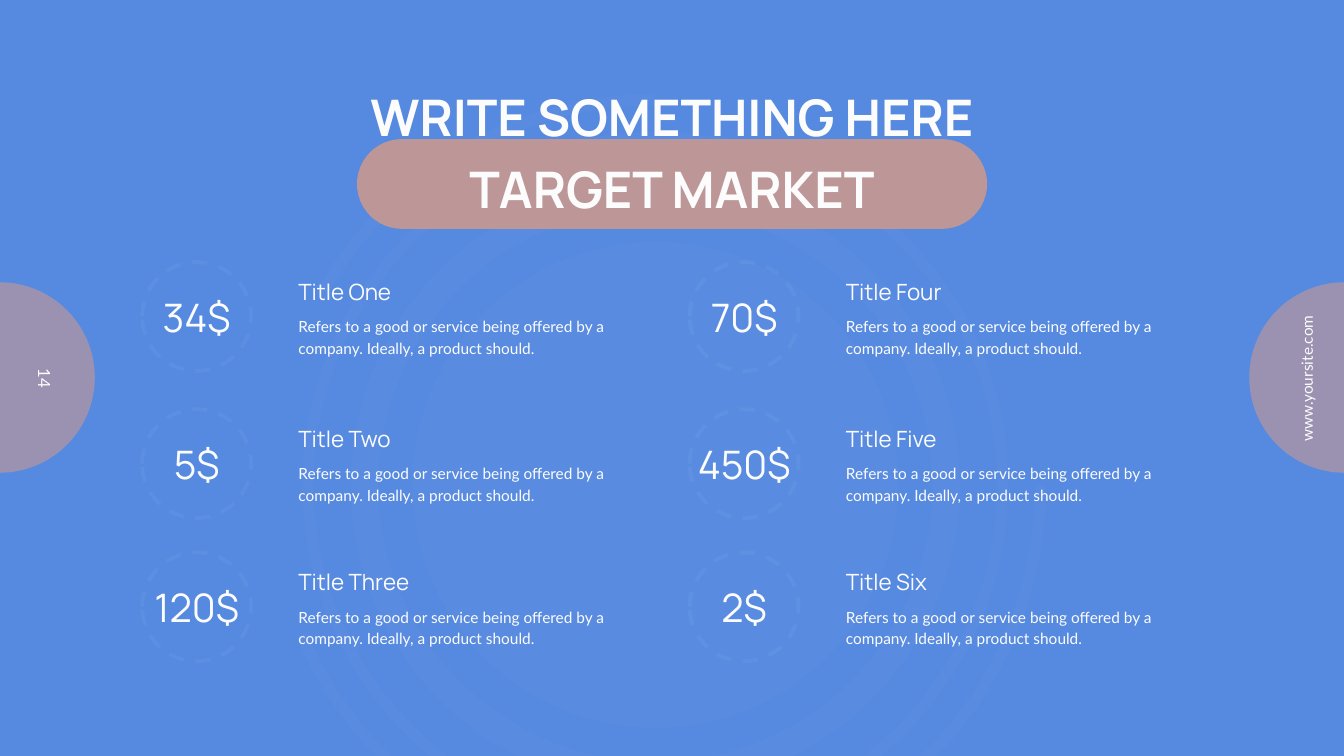
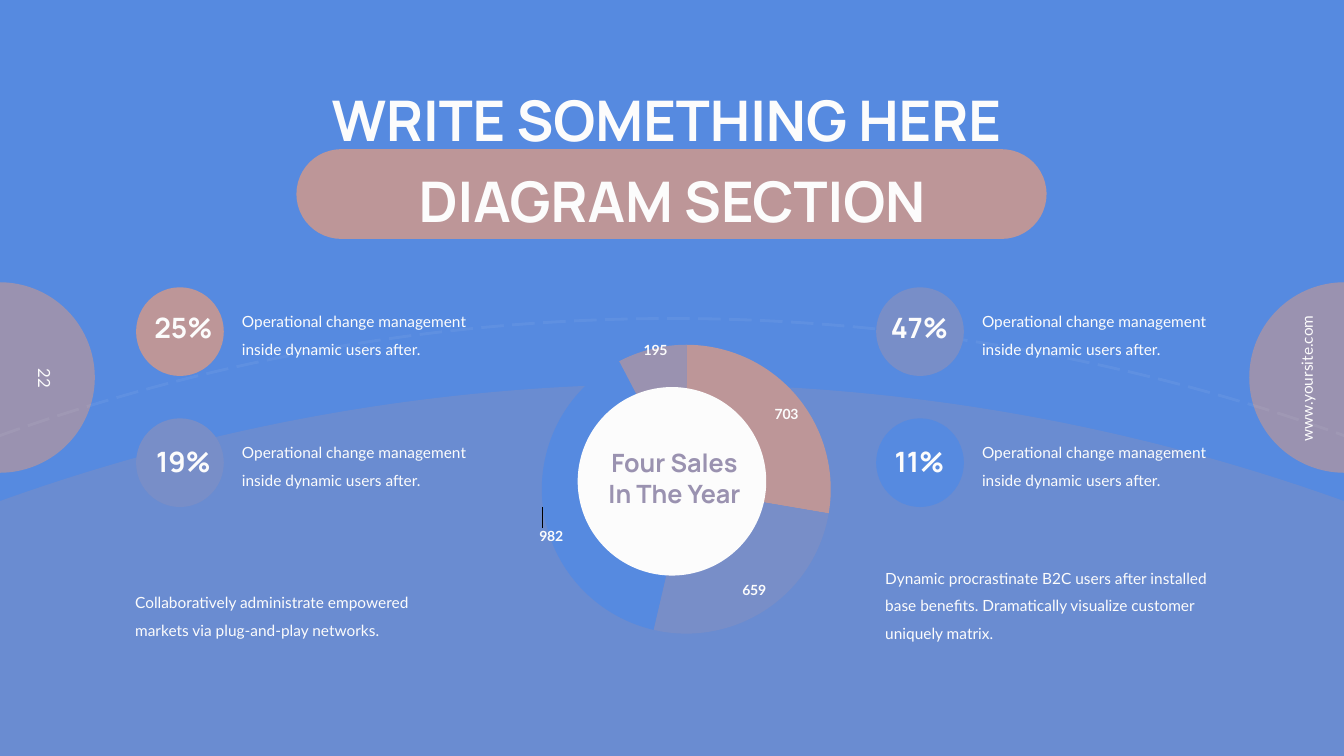
from lxml import etree
from pptx import Presentation
from pptx.chart.data import CategoryChartData
from pptx.dml.color import RGBColor
from pptx.enum.chart import XL_CHART_TYPE, XL_LABEL_POSITION
from pptx.enum.dml import MSO_LINE
from pptx.enum.shapes import MSO_SHAPE
from pptx.enum.text import MSO_ANCHOR, PP_ALIGN
from pptx.oxml.ns import qn
from pptx.util import Inches, Pt

BLUE, ROSE, MAUVE, STEEL, WHITE = "568AE0", "BD9698", "9A92B0", "788EC8", "FCFCFC"
HEADING, BODY = "Manrope", "Lato"
WIDTH, HEIGHT = 13.33, 7.5

TITLE = {"name": HEADING, "size": 36, "bold": True}
SUBTITLE = {"name": HEADING, "size": 16}
PRICE = {"name": HEADING, "size": 28}
PERCENT = {"name": HEADING, "size": 20, "bold": True}
CENTER_NOTE = {"name": HEADING, "size": 18, "bold": True, "color": MAUVE}
SMALL = {"name": BODY, "size": 11}
NUMBER = {"name": BODY, "size": 12}
CHART_LABEL = {"name": BODY, "size": 10, "bold": True}

OFFER = "Refers to a good or service being offered by a company. Ideally, a product should."
CHANGE = "Operational change management inside dynamic users after."


def color(value):
    return RGBColor.from_string(value)


def set_font(font, style):
    for key, value in {"color": WHITE, **style}.items():
        if key == "color":
            font.color.rgb = color(value)
        else:
            setattr(font, key, Pt(value) if key == "size" else value)


def paint(shape, fill=None, line=None, weight=1, dash=None, alpha=None):
    shape.shadow.inherit = False
    if fill:
        shape.fill.solid()
        shape.fill.fore_color.rgb = color(fill)
    else:
        shape.fill.background()
    if line:
        shape.line.color.rgb = color(line)
        shape.line.width = Pt(weight)
        if dash:
            shape.line.dash_style = dash
    else:
        shape.line.fill.background()
    if alpha:
        for tint in shape.element.spPr.iter(qn("a:srgbClr")):
            etree.SubElement(tint, qn("a:alpha"), val=str(alpha * 1000))


def add_shape(page, kind, box, adjust=(), **look):
    shape = page.shapes.add_shape(kind, *map(Inches, box))
    for index, value in enumerate(adjust):
        shape.adjustments[index] = value
    paint(shape, **look)


def add_curve(page, points, corners=(), **look):
    """Start point and Bezier triples; corners, if any, close the outline."""
    start, *rest = [(Inches(x), Inches(y)) for x, y in (*points, *corners)]
    builder = page.shapes.build_freeform(*start)
    builder.add_line_segments(rest, close=bool(corners))
    shape = builder.convert_to_shape()
    lines = list(shape.element.spPr.iter(qn("a:lnTo")))[:len(points) - 1]
    for index in range(0, len(lines), 3):
        bezier = etree.Element(qn("a:cubicBezTo"))
        lines[index].addprevious(bezier)
        for line in lines[index:index + 3]:
            bezier.append(line[0])
            line.getparent().remove(line)
    paint(shape, **look)


def add_text(page, box, lines, style, align=PP_ALIGN.LEFT, spacing=None,
             anchor=MSO_ANCHOR.TOP, inset=0, wrap=True, rotation=0):
    shape = page.shapes.add_textbox(*map(Inches, box))
    shape.rotation = rotation
    frame = shape.text_frame
    frame.word_wrap = wrap
    frame.vertical_anchor = anchor
    for side in ("left", "right", "top", "bottom"):
        setattr(frame, f"margin_{side}", Inches(inset))
    for index, line in enumerate(lines):
        para = frame.paragraphs[0] if index == 0 else frame.add_paragraph()
        para.alignment = align
        if spacing:
            para.line_spacing = spacing
        para.text = line
        for span in para.runs:
            set_font(span.font, style)


# Shared page parts
def new_page(deck, number):
    page = deck.slides.add_slide(deck.slide_layouts[6])
    page.background.fill.solid()
    page.background.fill.fore_color.rgb = color(BLUE)
    for left in (-0.95, 12.39):
        add_shape(page, MSO_SHAPE.OVAL, (left, 2.8, 1.89, 1.89), fill=MAUVE)
    add_text(page, (-0.03, 3.31, 0.95, 0.89), [number], NUMBER, PP_ALIGN.CENTER,
             anchor=MSO_ANCHOR.MIDDLE, inset=0.05, rotation=90)
    add_text(page, (12.23, 3.61, 1.47, 0.29), ["www.yoursite.com"], SMALL,
             PP_ALIGN.CENTER, inset=0.05, wrap=False, rotation=270)
    return page


def add_title(page, lines, top, size, pill):
    add_shape(page, MSO_SHAPE.ROUNDED_RECTANGLE, pill, [0.5], fill=ROSE)
    add_text(page, (1.35, top, 10.63, 1.51), lines, {**TITLE, "size": size},
             PP_ALIGN.CENTER, spacing=1.2)


# Target market
def add_coin(page, center_x, center_y):
    def around(radius):
        return center_x - radius, center_y - radius, 2 * radius, 2 * radius

    add_shape(page, MSO_SHAPE.OVAL, around(2.41), fill=WHITE, alpha=2)
    for radius, thickness in ((3.02, 0.27), (3.5, 0.11)):
        add_shape(page, MSO_SHAPE.DONUT, around(radius), [thickness / radius / 2],
                  fill=WHITE, alpha=2)
    # Outer arcs, measured from the centre
    arcs = (
        [(-3.32, -1.88), (-2.97, -2.51), (-2.46, -3.01), (-1.82, -3.36),
         (-1.27, -3.66), (-0.63, -3.82), (0, -3.82)],
        [(-2.4, 2.96), (-2.89, 2.56), (-3.27, 2.06), (-3.5, 1.49)],
        [(3.82, 0), (3.82, 0.46), (3.74, 0.91), (3.58, 1.34), (3.33, 2.01),
         (2.9, 2.59), (2.32, 3.03), (1.65, 3.54), (0.85, 3.81), (0, 3.81)],
    )
    for arc in arcs:
        add_curve(page, [(center_x + x, center_y + y) for x, y in arc],
                  line=WHITE, weight=8, alpha=2)


def add_offer(page, left, top, price, name):
    add_text(page, (left + 1.55, top + 0.16, 1.82, 0.27), [name], SUBTITLE)
    add_text(page, (left + 1.55, top + 0.52, 3.49, 0.4), [OFFER], SMALL, spacing=Pt(15.3))
    add_text(page, (left - 0.07, top + 0.31, 1.22, 0.47), [price], PRICE,
             PP_ALIGN.CENTER, wrap=False)
    add_shape(page, MSO_SHAPE.OVAL, (left, top, 1.08, 1.08), line=WHITE,
              weight=2.75, dash=MSO_LINE.DASH, alpha=4)


def market_page(deck):
    page = new_page(deck, "14")
    add_coin(page, 6.5, 4.81)
    add_title(page, ["WRITE SOMETHING HERE", "TARGET MARKET"], 0.73, 36,
              (3.54, 1.38, 6.25, 0.89))
    columns = {
        1.41: [("34$", "Title One"), ("5$", "Title Two"), ("120$", "Title Three")],
        6.84: [("70$", "Title Four"), ("450$", "Title Five"), ("2$", "Title Six")],
    }
    for left, offers in columns.items():
        for top, (price, name) in zip((2.6, 4.06, 5.48), offers):
            add_offer(page, left, top, price, name)


# Diagram section
def hill(top):
    half = [(0, 0), (2.96, 0), (5.79, 0.66), (8.36, 1.86), (8.64, 2), (8.93, 2.14), (9.21, 2.28)]
    middle = WIDTH / 2
    left_side = [(middle - x, top + y) for x, y in reversed(half)]
    return left_side + [(middle + x, top + y) for x, y in half[1:]]


def add_hills(page):
    add_curve(page, hill(3.16), line=WHITE, weight=2, dash=MSO_LINE.LONG_DASH, alpha=5)
    slope = hill(3.81)
    floor = [(slope[-1][0], 7.63), (slope[0][0], 7.63)]
    add_curve(page, slope, floor, fill=MAUVE, alpha=30)


def set_layout(layout, values):
    manual = etree.SubElement(layout, qn("c:manualLayout"))
    for tag, value in values.items():
        etree.SubElement(manual, qn("c:" + tag), val=str(value))


def add_sales_chart(page, left, top, size):
    data = CategoryChartData(number_format="#,##0")
    data.categories = ["1", "2", "3", "4"]
    data.add_series("Series 1", (703, 659, 982, 195))
    chart = page.shapes.add_chart(XL_CHART_TYPE.PIE, *map(Inches, (left, top, size, size)),
                                  data).chart
    chart.has_legend = chart.has_title = False
    set_font(chart.font, {"name": BODY, "size": 10, "color": BLUE})
    plot = chart.plots[0]
    plot.vary_by_categories = False
    series = plot.series[0]
    for key, value in {"show_value": True, "number_format": "#,##0",
                       "number_format_is_linked": False,
                       "position": XL_LABEL_POSITION.INSIDE_END}.items():
        setattr(series.data_labels, key, value)
    set_font(series.data_labels.font, CHART_LABEL)

    # Slices, each with the shift of its label
    slices = ((ROSE, 0.02, 0.02), (STEEL, 0.01, -0.02), (BLUE, -0.03, 0.12), (MAUVE, -0.03, -0.04))
    for index, (fill, shift_x, shift_y) in enumerate(slices):
        point = series.points[index]
        point.format.fill.solid()
        point.format.fill.fore_color.rgb = color(fill)
        point.format.line.fill.background()
        point.data_label.position = XL_LABEL_POSITION.INSIDE_END
        set_font(point.data_label.font, CHART_LABEL)
        label = chart.element.findall(".//" + qn("c:dLbl"))[index]
        layout = etree.Element(qn("c:layout"))
        label.insert(1, layout)
        set_layout(layout, {"x": shift_x, "y": shift_y})

    # Fixed plot area
    area = chart.element.find(".//" + qn("c:plotArea"))
    layout = area.find(qn("c:layout"))
    if layout is None:
        layout = etree.Element(qn("c:layout"))
        area.insert(0, layout)
    set_layout(layout, {"layoutTarget": "inner", "xMode": "edge", "yMode": "edge",
                        "x": 0.09, "y": 0.06, "w": 0.91, "h": 0.93})

    # Centre disc
    add_shape(page, MSO_SHAPE.OVAL, (left + 0.64, top + 0.64, 1.87, 1.87), fill=WHITE)
    add_text(page, (left + 0.58, top + 1.24, 2.04, 0.61), ["Four Sales", "In The Year"],
             CENTER_NOTE, PP_ALIGN.CENTER)


def add_share(page, left, top, percent, fill, shift_x, shift_y):
    add_shape(page, MSO_SHAPE.OVAL, (left, top, 0.87, 0.88), fill=fill)
    add_text(page, (left + shift_x, top + shift_y, 0.88, 0.34), [percent], PERCENT,
             PP_ALIGN.CENTER)
    add_text(page, (left + 1.05, top + 0.17, 2.24, 0.52), [CHANGE], SMALL, spacing=1.5,
             anchor=MSO_ANCHOR.MIDDLE)


def diagram_page(deck):
    page = new_page(deck, "22")
    add_hills(page)
    add_title(page, ["WRITE SOMETHING HERE \vDIAGRAM SECTION"], 0.72, 40,
              (2.94, 1.48, 7.44, 0.89))
    add_sales_chart(page, 5.09, 3.2, 3.15)
    shares = {1.35: (("25%", ROSE), ("19%", STEEL), 0.03),
              8.69: (("47%", STEEL), ("11%", BLUE), -0.01)}
    for left, (upper, lower, shift) in shares.items():
        add_share(page, left, 2.85, *upper, shift, 0.23)
        add_share(page, left, 4.15, *lower, shift, 0.26)
    add_text(page, (1.34, 5.79, 3.21, 0.52), [
        "Collaboratively administrate empowered markets via plug-and-play networks."],
        SMALL, spacing=1.5)
    add_text(page, (8.78, 5.55, 3.21, 0.8), [
        "Dynamic procrastinate B2C users after installed base benefits. "
        "Dramatically visualize customer uniquely matrix."], SMALL, spacing=1.5)


def main():
    deck = Presentation()
    deck.slide_width, deck.slide_height = Inches(WIDTH), Inches(HEIGHT)
    market_page(deck)
    diagram_page(deck)
    deck.save("out.pptx")


if __name__ == "__main__":
    main()
